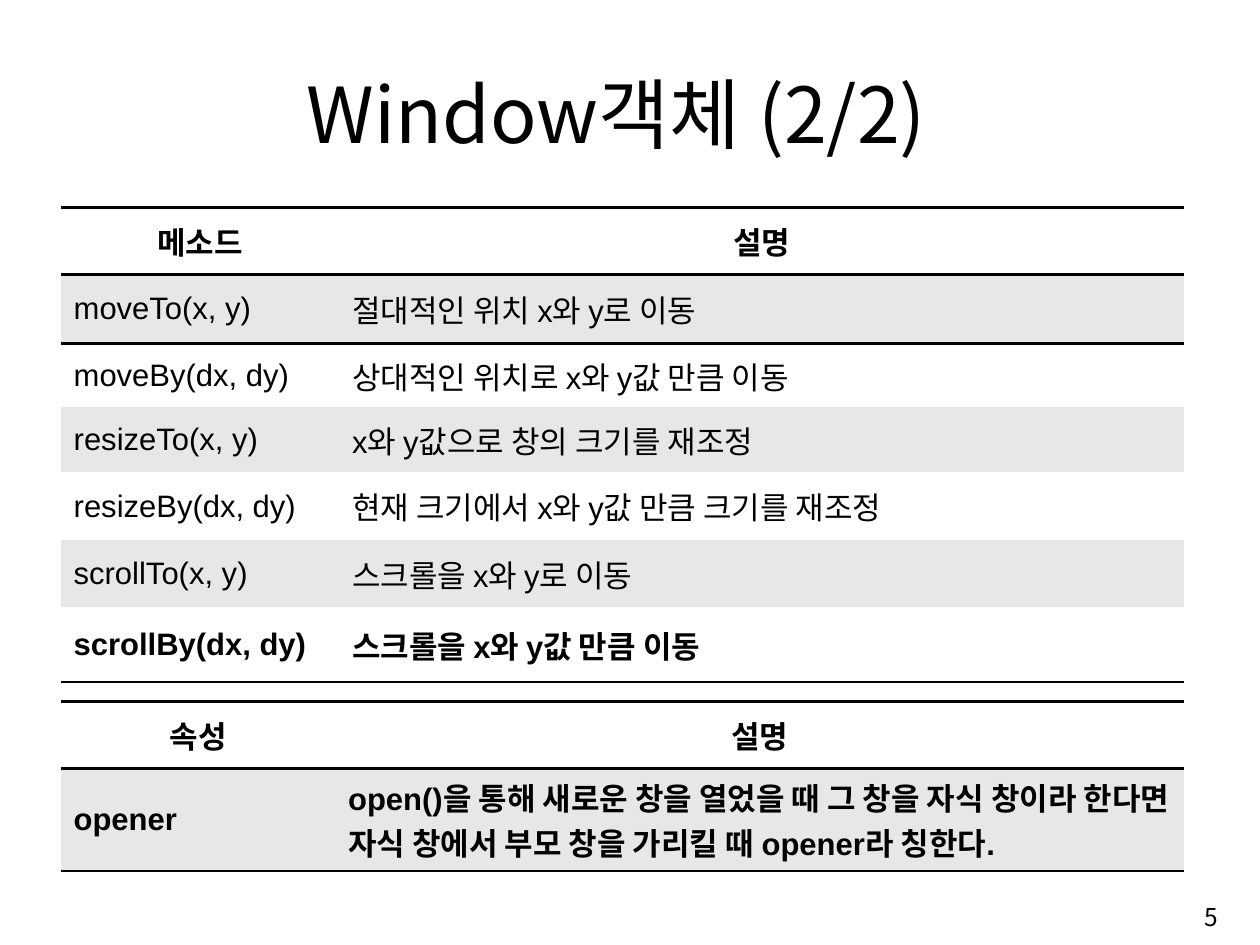
from lxml.etree import SubElement
from pptx import Presentation
from pptx.dml.color import RGBColor
from pptx.enum.text import MSO_ANCHOR, MSO_AUTO_SIZE, PP_ALIGN
from pptx.oxml.ns import qn
from pptx.util import Inches, Pt

COLORS = {"ink": "000000", "plain": "FFFFFF", "band": "E7E7E7"}
KOREAN = "Noto Sans CJK KR"
NO_STYLE = "{2D5ABB26-0587-4C30-8999-92F81FD0307C}"

METHODS = [
    ("메소드", "설명"),
    ("moveTo(x, y)", "절대적인 위치 x와 y로 이동"),
    ("moveBy(dx, dy)", "상대적인 위치로 x와 y값 만큼 이동"),
    ("resizeTo(x, y)", "x와 y값으로 창의 크기를 재조정"),
    ("resizeBy(dx, dy)", "현재 크기에서 x와 y값 만큼 크기를 재조정"),
    ("scrollTo(x, y)", "스크롤을 x와 y로 이동"),
    ("scrollBy(dx, dy)", "스크롤을 x와 y값 만큼 이동"),
]
PROPERTIES = [
    ("속성", "설명"),
    ("opener", "open()을 통해 새로운 창을 열었을 때 그 창을 자식 창이라 "
               "한다면 자식 창에서 부모 창을 가리킬 때 opener라 칭한다."),
]


def write(frame, text, size, font=KOREAN, bold=False, align=PP_ALIGN.LEFT):
    frame.word_wrap = True
    para = frame.paragraphs[0]
    para.alignment = align
    span = para.add_run()
    span.text = text
    span.font.size = Pt(size)
    span.font.name = font
    span.font.bold = bold
    span.font.color.rgb = RGBColor.from_string(COLORS["ink"])
    SubElement(span.font._element, qn("a:ea"), typeface=KOREAN)


def place(shape, left, top, width, height):
    shape.left, shape.top = Inches(left), Inches(top)
    shape.width, shape.height = Inches(width), Inches(height)


def add_rule(cell, side, position):
    """Draw a black line on the top ("a:lnT") or bottom ("a:lnB") of a cell."""
    properties = cell._tc.get_or_add_tcPr()
    line = SubElement(properties, qn(side), w=str(Pt(2)))
    fill = SubElement(line, qn("a:solidFill"))
    SubElement(fill, qn("a:srgbClr"), val=COLORS["ink"])
    properties.insert(position, line)


def fill_cell(cell, text, row, last_row):
    header = row == 0
    cell.vertical_anchor = MSO_ANCHOR.MIDDLE
    cell.margin_left = cell.margin_right = Inches(0.13)
    cell.margin_top = cell.margin_bottom = Inches(0.06)
    cell.fill.solid()
    cell.fill.fore_color.rgb = RGBColor.from_string(COLORS["band" if row % 2 else "plain"])
    write(cell.text_frame, text, 23, font=KOREAN if header else "Arial",
          bold=row in (0, last_row),
          align=PP_ALIGN.CENTER if header else PP_ALIGN.LEFT)
    sides = []
    if row <= 1:
        sides.append("a:lnT")
    if row in (0, last_row):
        sides.append("a:lnB")
    for position, side in enumerate(sides):
        add_rule(cell, side, position)


def add_ruled_table(slide, rows, top, widths, heights):
    frame = slide.shapes.add_table(len(rows), len(widths), Inches(0.63), Inches(top),
                                   Inches(sum(widths)), Inches(sum(heights)))
    table = frame.table
    table.first_row = table.horz_banding = False
    table._tbl.tblPr.find(qn("a:tableStyleId")).text = NO_STYLE
    for column, width in zip(table.columns, widths):
        column.width = Inches(width)
    for row, (texts, height) in enumerate(zip(rows, heights)):
        table.rows[row].height = Inches(height)
        for column, text in enumerate(texts):
            fill_cell(table.cell(row, column), text, row, len(rows) - 1)


def add_title(slide, text):
    title = slide.shapes.title
    place(title, 1.05, 0.61, 10.61, 1.08)
    frame = title.text_frame
    frame.auto_size = MSO_AUTO_SIZE.NONE
    frame.vertical_anchor = MSO_ANCHOR.BOTTOM
    write(frame, text, 57.2, align=PP_ALIGN.CENTER)


def add_page_number(slide, number):
    box = slide.shapes.add_textbox(Inches(9.98), Inches(9.15), Inches(2.68), Inches(0.6))
    box.text_frame.vertical_anchor = MSO_ANCHOR.MIDDLE
    write(box.text_frame, number, 18.2, align=PP_ALIGN.RIGHT)


def main():
    deck = Presentation()
    deck.slide_width, deck.slide_height = Inches(12.99), Inches(9.74)
    slide = deck.slides.add_slide(deck.slide_layouts[5])
    add_title(slide, "Window객체 (2/2)")
    add_page_number(slide, "5")
    add_ruled_table(slide, METHODS, 2.14, (2.87, 8.71),
                    (0.69, 0.71, 0.66, 0.67, 0.7, 0.69, 0.77))
    add_ruled_table(slide, PROPERTIES, 7.23, (2.83, 8.75), (0.69, 1.06))
    deck.save("out.pptx")


if __name__ == "__main__":
    main()
